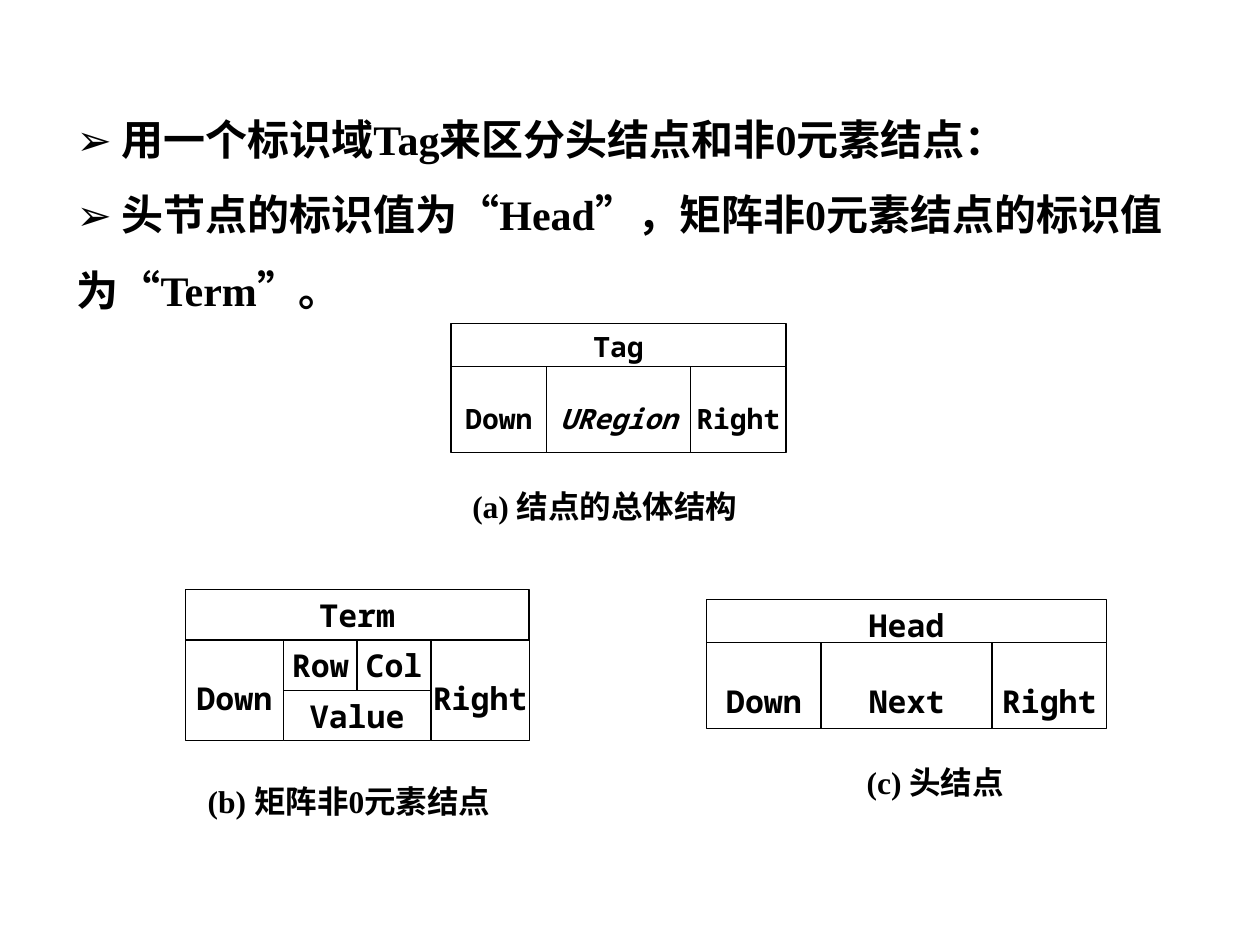
from pptx import Presentation
from pptx import util as u
from pptx.dml.color import RGBColor
from pptx.enum import shapes, text

BLACK = RGBColor(0, 0, 0)
WHITE = RGBColor(255, 255, 255)
SERIF, SANS, MONO = "Times New Roman", "Arial", "Noto Sans Mono"

prs = Presentation()
prs.slide_width, prs.slide_height = u.Inches(10), u.Inches(7.5)
s = prs.slides.add_slide(prs.slide_layouts[6])


def add_textbox(left, top, width, height):
    tf = s.shapes.add_textbox(*map(u.Inches, (left, top, width, height))).text_frame
    tf.word_wrap = True
    tf.auto_size = text.MSO_AUTO_SIZE.SHAPE_TO_FIT_TEXT
    return tf


def set_font(font, size, name):
    font.size, font.name = u.Pt(size), name
    font.bold, font.color.rgb = True, BLACK


points = [
    "用一个标识域Tag来区分头结点和非0元素结点：",
    "头节点的标识值为“Head”，矩阵非0元素结点的标识值为“Term”。",
]
tf = add_textbox(0.51, 0.65, 8.94, 1.92)
for i, point in enumerate(points):
    p = tf.paragraphs[0] if i == 0 else tf.add_paragraph()
    p.line_spacing = 1.5
    for part, name in (("➢ ", SANS), (point, SERIF)):
        r = p.add_run()
        r.text = part
        set_font(r.font, 24, name)

captions = [
    ("(a) 结点的总体结构", 3.65, 3.82, 2.34),
    ("(b) 矩阵非0元素结点", 1.55, 6.16, 2.54),
    ("(c) 头结点", 6.78, 6.01, 1.3),
]
for caption, left, top, width in captions:
    p = add_textbox(left, top, width, 0.4).paragraphs[0]
    p.text = caption
    set_font(p.font, 18, SERIF)

COLUMNS = 14
nodes = [
    (3.58, 2.57, 2.66, 0.34, 16, [
        ("Tag", 0, 0, 14, 1), ("Down", 0, 1, 4, 2),
        ("URegion", 4, 1, 6, 2), ("Right", 10, 1, 4, 2)]),
    (1.47, 4.68, 2.73, 0.4, 18, [
        ("Term", 0, 0, 14, 1), ("Down", 0, 1, 4, 2), ("Row", 4, 1, 3, 1),
        ("Col", 7, 1, 3, 1), ("Value", 4, 2, 6, 1), ("Right", 10, 1, 4, 2)]),
    (5.61, 4.76, 3.17, 0.34, 18, [
        ("Head", 0, 0, 14, 1), ("Down", 0, 1, 4, 2),
        ("Next", 4, 1, 6, 2), ("Right", 10, 1, 4, 2)]),
]
for left, top, width, row_h, size, cells in nodes:
    col_w = width / COLUMNS
    for label, col, row, cols, rows in cells:
        sp = s.shapes.add_shape(
            shapes.MSO_SHAPE.RECTANGLE,
            u.Inches(left + col * col_w), u.Inches(top + row * row_h),
            u.Inches(cols * col_w), u.Inches(rows * row_h))
        sp.shadow.inherit = False
        sp.fill.solid()
        sp.fill.fore_color.rgb = WHITE
        sp.line.color.rgb = BLACK
        sp.line.width = u.Pt(0.75)
        tf = sp.text_frame
        tf.word_wrap = True
        tf.vertical_anchor = text.MSO_ANCHOR.TOP
        tf.margin_left = tf.margin_right = 0
        tf.margin_top = u.Inches(0.05) if rows == 1 else u.Pt(size * 1.24)
        tf.margin_bottom = u.Inches(0.09) if rows == 1 else 0
        p = tf.paragraphs[0]
        p.text = label
        p.alignment = text.PP_ALIGN.CENTER
        set_font(p.font, size, MONO)
        p.font.italic = label == "URegion"

prs.save("out.pptx")
